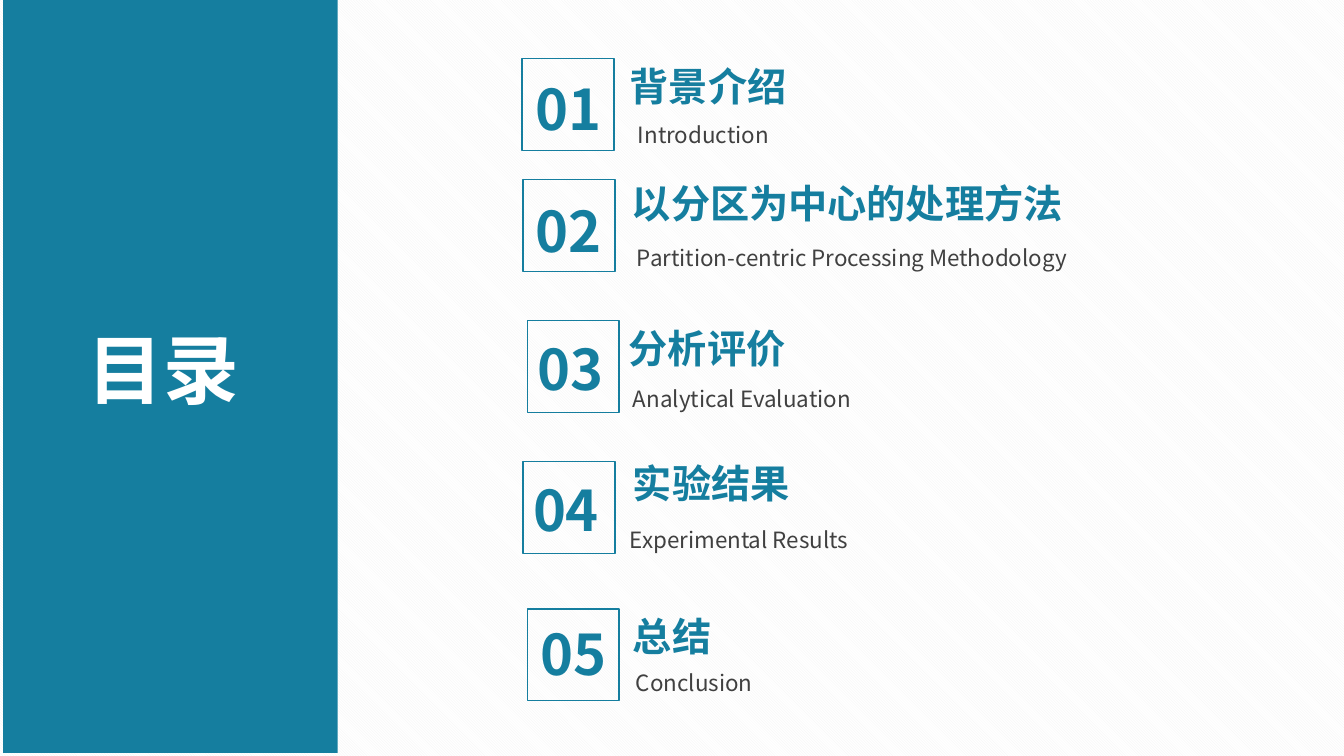
from lxml import etree
from pptx import Presentation, util as u
from pptx.dml.color import RGBColor
from pptx.enum import dml, shapes, text
from pptx.oxml.ns import qn

FONT = "Noto Sans CJK SC"
TEAL, GREY, WHITE = "157E9F", "404040", "FFFFFF"
BOX = 65.6

ENTRIES = [
    ("背景介绍", "Introduction", (373, 41.8), (0, 7.9), (69.8, -0.7), (75.6, 41)),
    ("以分区为中心的处理方法", "Partition-centric Processing Methodology",
     (373.7, 128.2), (-0.7, 8.6), (70.6, -3.6), (74.2, 42.5)),
    ("分析评价", "Analytical Evaluation", (376.6, 229), (-2.2, 6.5), (65.5, -0.7), (68.4, 42.5)),
    ("实验结果", "Experimental Results", (373.7, 329.8), (-2.2, 6.5), (71.3, -5), (69.1, 42.5)),
    ("总结", "Conclusion", (376.6, 434.9), (0, 4.3), (68.4, -1.4), (70.6, 39.6)),
]


def color(value):
    return RGBColor.from_string(value)


def add_rect(s, x, y, w, h, fill=None, line=None):
    sp = s.shapes.add_shape(shapes.MSO_SHAPE.RECTANGLE, u.Pt(x), u.Pt(y), u.Pt(w), u.Pt(h))
    sp.shadow.inherit = False
    if fill:
        sp.fill.solid()
        sp.fill.fore_color.rgb = color(fill)
    else:
        sp.fill.background()
    if line:
        sp.line.color.rgb = color(line)
        sp.line.width = u.Pt(1)
    else:
        sp.line.fill.background()


def add_label(s, x, y, w, h, words, size, fill, bold=False, align=None, wrap=True):
    sp = s.shapes.add_textbox(u.Pt(x), u.Pt(y), u.Pt(w), u.Pt(h))
    tf = sp.text_frame
    tf.word_wrap = wrap
    p = tf.paragraphs[0]
    p.alignment = align
    r = p.add_run()
    r.text = words
    f = r.font
    f.name, f.size, f.bold = FONT, u.Pt(size), bold
    f.color.rgb = color(fill)
    etree.SubElement(r._r.get_or_add_rPr(), qn("a:ea"), typeface=FONT)


def add_sidebar(s, x, y, w, h):
    add_rect(s, x, y, w, h, fill=TEAL)
    add_label(s, x + 53.3, y + 229, 123.8, 72.7, "目录", 54, WHITE, bold=True, wrap=False)


def add_entry(s, number, title, subtitle, box, number_at, title_at, subtitle_at):
    x, y = box
    width = 345 if len(title) > 4 else 188.6
    add_label(s, x + title_at[0], y + title_at[1], width, 41, title, 28, TEAL, bold=True)
    add_label(s, x + number_at[0], y + number_at[1], BOX, 55.4, f"{number:02d}", 40, TEAL,
              bold=True, align=text.PP_ALIGN.CENTER)
    add_rect(s, x, y, BOX, BOX, line=TEAL)
    add_label(s, x + subtitle_at[0], y + subtitle_at[1], width, 26.6, subtitle, 16, GREY)


def add_contents_slide(prs):
    s = prs.slides.add_slide(prs.slide_layouts[6])
    fill = s.background.fill
    fill.patterned()
    fill.pattern = dml.MSO_PATTERN.DARK_DOWNWARD_DIAGONAL
    fill.fore_color.rgb = color("F2F2F2")
    fill.back_color.rgb = color(WHITE)
    add_sidebar(s, 2.2, -2.2, 239, 540)
    for number, entry in enumerate(ENTRIES, 1):
        add_entry(s, number, *entry)


def main():
    prs = Presentation()
    prs.slide_width, prs.slide_height = u.Pt(960), u.Pt(540)
    add_contents_slide(prs)
    prs.save("out.pptx")


if __name__ == "__main__":
    main()
